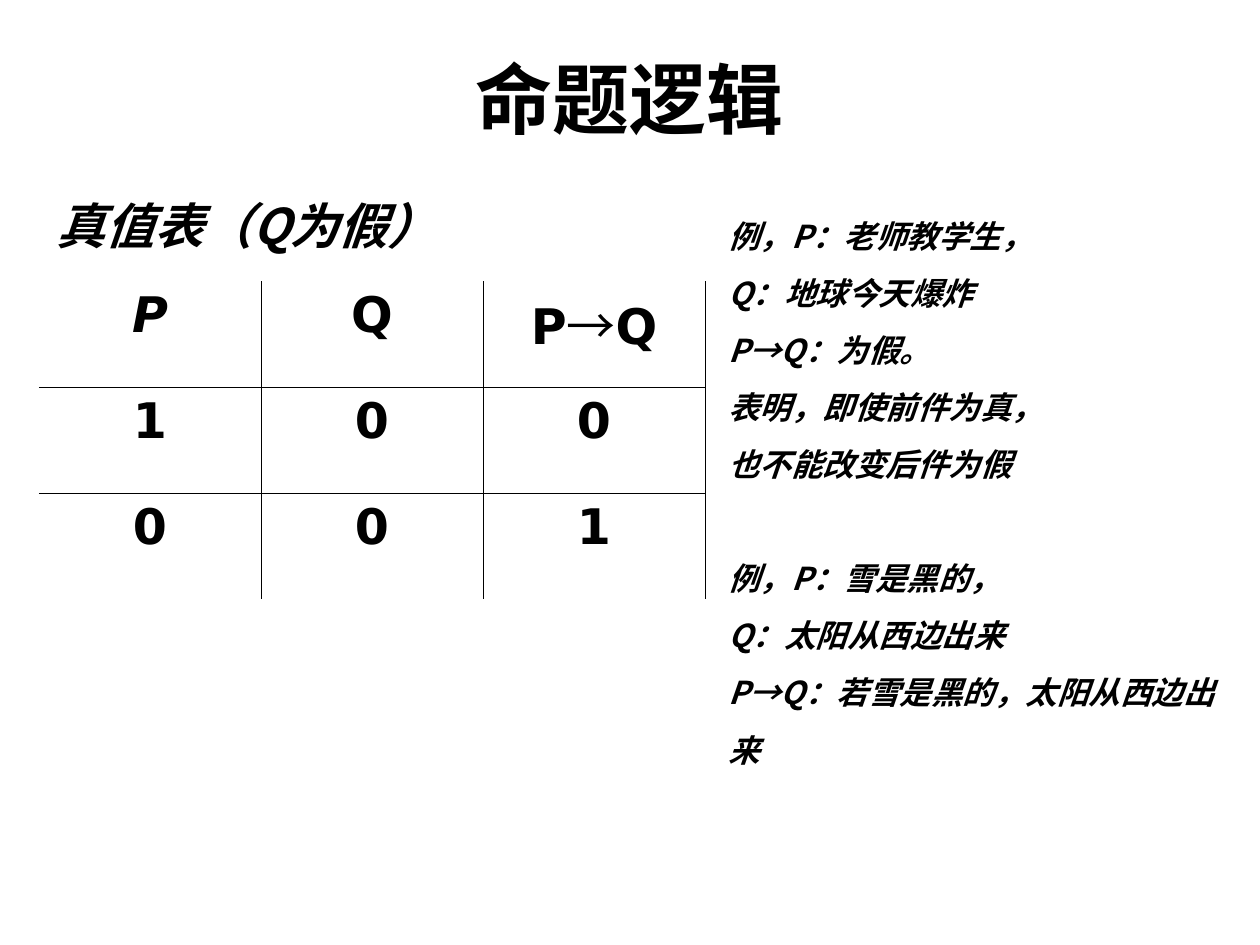
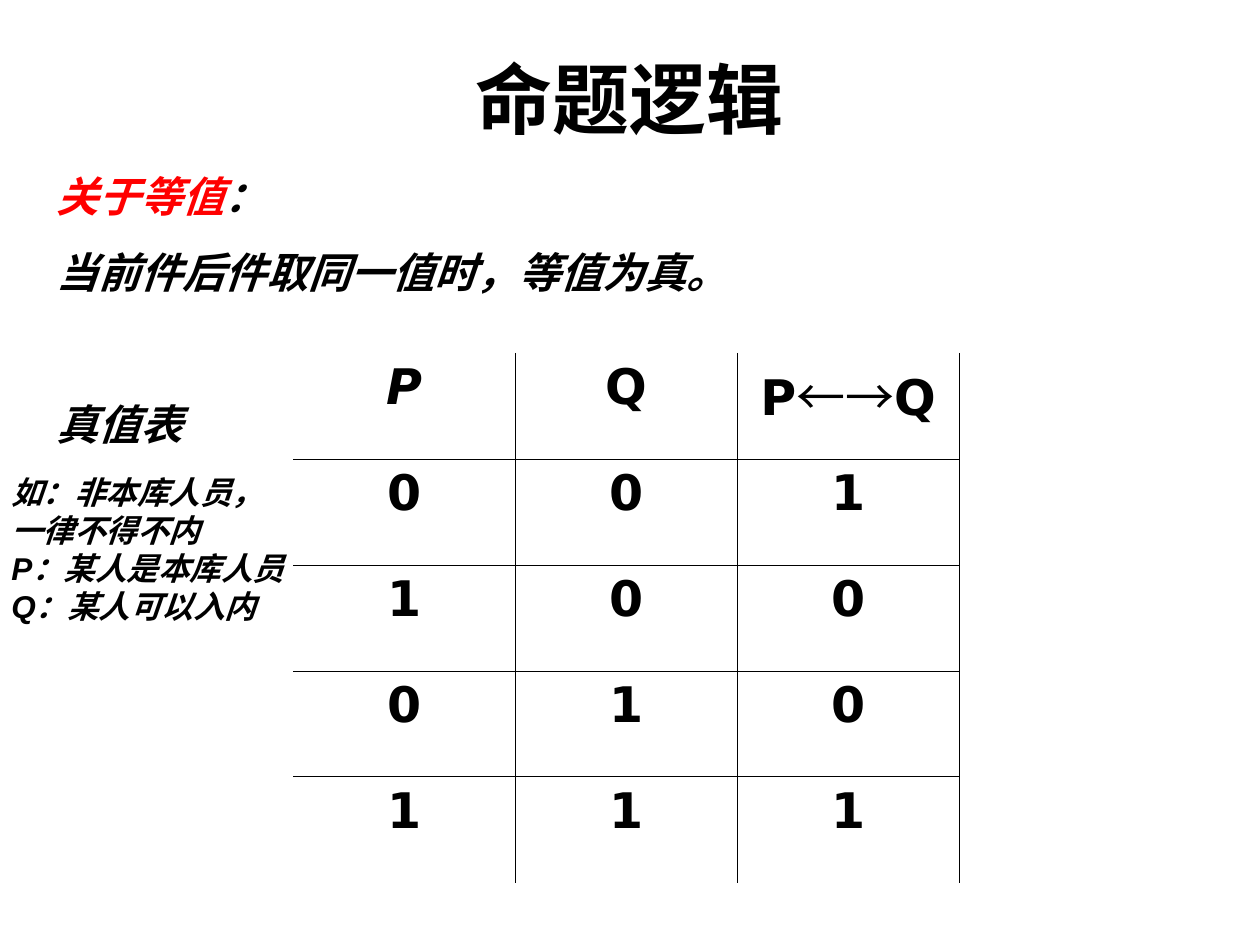
from dataclasses import dataclass

from lxml import etree
from pptx import Presentation
from pptx.dml.color import RGBColor
from pptx.enum.text import MSO_ANCHOR, PP_ALIGN
from pptx.oxml.ns import qn
from pptx.util import Emu, Pt

CENTER, LEFT = PP_ALIGN.CENTER, PP_ALIGN.LEFT
TOP = MSO_ANCHOR.TOP
PX_PER_INCH = 126
INSET = 6
COLUMN_WIDTH, ROW_HEIGHT = 222, 106


def px(length):
    return Emu(round(length * 914400 / PX_PER_INCH))


@dataclass(frozen=True)
class Theme:
    ink: str = "000000"
    accent: str = "FF0000"
    heading_font: str = "Arial"
    chinese_font: str = "Noto Sans CJK SC"
    table_font: str = "DejaVu Sans"
    title_size: int = 44
    large: int = 28
    medium: int = 24
    small: int = 18
    line_ratio: float = 1.207
    border: float = 0.45


class Deck:
    def __init__(self, theme):
        self.theme = theme
        self.presentation = Presentation()
        self.presentation.slide_width = px(1260)
        self.presentation.slide_height = px(945)
        self.slide = None

    def new_slide(self, title):
        blank = self.presentation.slide_layouts[6]
        self.slide = self.presentation.slides.add_slide(blank)
        self.text((63, 38, 1134, 158), [title], self.theme.title_size,
                  font=self.theme.heading_font, align=CENTER, italic=False)

    def run(self, paragraph, text, size, font, **extra):
        run = paragraph.add_run()
        run.text = text
        color = extra.pop("color", self.theme.ink)
        style = {"size": Pt(size), "name": font, "bold": True, "italic": True, **extra}
        for attribute, value in style.items():
            setattr(run.font, attribute, value)
        run.font.color.rgb = RGBColor.from_string(color)
        east_asian = etree.Element(qn("a:ea"), typeface=self.theme.chinese_font)
        run.font._element.find(qn("a:latin")).addnext(east_asian)

    def text(self, box, lines, size, font=None, align=LEFT, spacing=1.0,
             gaps_before=(), italic=True):
        frame = self.slide.shapes.add_textbox(*map(px, box)).text_frame
        baseline_shift = size * 0.09 * PX_PER_INCH / 72
        layout = {"word_wrap": True, "vertical_anchor": TOP,
                  "margin_top": px(INSET + baseline_shift)}
        for attribute, value in layout.items():
            setattr(frame, attribute, value)
        pitch = Pt(round(size * self.theme.line_ratio * spacing, 1))
        for index, line in enumerate(lines):
            paragraph = frame.add_paragraph() if index else frame.paragraphs[0]
            paragraph.alignment = align
            paragraph.line_spacing = pitch
            if index in gaps_before:
                paragraph.space_before = pitch
            parts = [(line, self.theme.ink)] if isinstance(line, str) else line
            for part, color in parts:
                self.run(paragraph, part, size, font or self.theme.chinese_font,
                         color=color, italic=italic)

    def borders(self, cell, visible):
        properties = cell._tc.get_or_add_tcPr()
        for side in "LRTB":
            line = etree.SubElement(properties, qn(f"a:ln{side}"),
                                    w=str(Pt(self.theme.border)))
            if side in visible:
                fill = etree.SubElement(line, qn("a:solidFill"))
                etree.SubElement(fill, qn("a:srgbClr"), val=self.theme.ink)
            else:
                etree.SubElement(line, qn("a:noFill"))
        cell.fill.background()

    def truth_table(self, left, top, arrow, values):
        rows = [["P", "Q", ("P", arrow, "Q")], *values]
        last_row, last_column = len(rows) - 1, len(rows[0]) - 1
        table = self.slide.shapes.add_table(
            len(rows), len(rows[0]), px(left), px(top),
            px(COLUMN_WIDTH * len(rows[0])), px(ROW_HEIGHT * len(rows))).table
        table.first_row = table.horz_banding = False
        for column in table.columns:
            column.width = px(COLUMN_WIDTH)
        for row_index, row in enumerate(rows):
            table.rows[row_index].height = px(ROW_HEIGHT)
            for column_index, parts in enumerate(row):
                cell = table.cell(row_index, column_index)
                paragraph = cell.text_frame.paragraphs[0]
                paragraph.alignment = CENTER
                for part in parts:
                    is_arrow = part == arrow
                    font = self.theme.chinese_font if is_arrow else self.theme.table_font
                    self.run(paragraph, part, self.theme.large, font, bold=not is_arrow,
                             italic=row_index == column_index == 0)
                visible = "R"
                visible += "L" if column_index else ""
                visible += "T" if row_index else ""
                visible += "B" if row_index < last_row else ""
                self.borders(cell, visible)


def implication_slide(deck):
    deck.new_slide("命题逻辑")
    deck.text((44, 155, 1160, 790), ["真值表（Q为假）"], deck.theme.large, spacing=1.5)
    deck.truth_table(39, 281, "→", ["100", "001"])
    examples = [
        "例，P：老师教学生，",
        "Q：地球今天爆炸",
        "P→Q：为假。",
        "表明，即使前件为真，",
        "也不能改变后件为假",
        "例，P：雪是黑的，",
        "Q：太阳从西边出来",
        "P→Q：若雪是黑的，太阳从西边出来",
    ]
    deck.text((716, 189, 542, 561), examples, deck.theme.small, spacing=1.5,
              gaps_before=(5,))


def equivalence_slide(deck):
    theme = deck.theme
    deck.new_slide("命题逻辑")
    explanation = [
        [("关于等值", theme.accent), ("：", theme.ink)],
        "当前件后件取同一值时，等值为真。",
        "真值表",
    ]
    deck.text((44, 135, 1160, 790), explanation, theme.medium, spacing=1.5,
              gaps_before=(2,))
    deck.truth_table(293, 353, "←→", ["001", "100", "010", "111"])
    example = [
        "如：非本库人员，",
        "一律不得不内",
        "P：某人是本库人员",
        "Q：某人可以入内",
    ]
    deck.text((-1, 464, 315, 202), example, theme.small, font=theme.heading_font)


def main():
    deck = Deck(Theme())
    implication_slide(deck)
    equivalence_slide(deck)
    deck.presentation.save("out.pptx")


if __name__ == "__main__":
    main()
